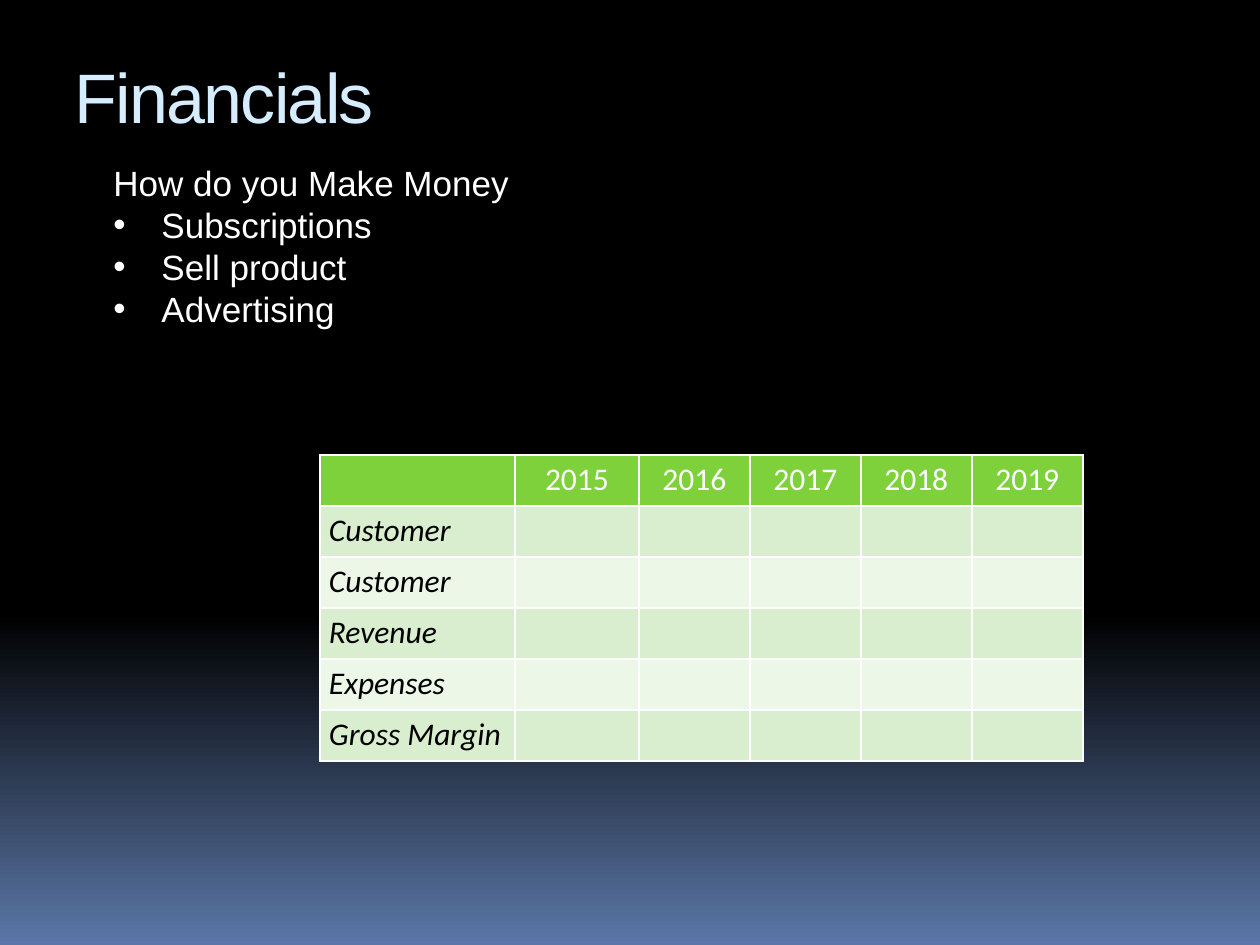
from pptx import Presentation
from pptx.dml.color import RGBColor
from pptx.enum.text import MSO_ANCHOR, MSO_AUTO_SIZE, PP_ALIGN
from pptx.oxml.ns import qn
from pptx.util import Pt
from lxml import etree

PX = 914400 / 126
LEFT, CENTER = PP_ALIGN.LEFT, PP_ALIGN.CENTER
MIDDLE = MSO_ANCHOR.MIDDLE
NO_AUTOFIT = MSO_AUTO_SIZE.NONE
TITLE_ONLY = 5
COLORS = {
    "black": "000000",
    "white": "FFFFFF",
    "dusk": "5B77A8",
    "title": "D6ECFF",
    "header": "7FD13B",
    "odd_row": "D8EECE",
    "even_row": "ECF7E8",
}
YEARS = ["2015", "2016", "2017", "2018", "2019"]
MEASURES = ["Customer", "Customer", "Revenue", "Expenses", "Gross Margin"]
INCOME_SOURCES = ["Subscriptions", "Sell product", "Advertising"]
COLUMN_WIDTHS = [195, 124, 111, 111, 111, 111]
ROW_HEIGHT = 51


def emu(pixels):
    return round(pixels * PX)


def rgb(name):
    return RGBColor.from_string(COLORS[name])


def write(paragraph, text, size=20, font="Arial", color="white",
          italic=False, align=LEFT, spacing=None):
    paragraph.alignment = align
    run = paragraph.add_run()
    run.text = text
    run.font.size = Pt(size)
    run.font.name = font
    run.font.italic = italic
    run.font.color.rgb = rgb(color)
    if spacing is not None:
        run.font._element.set("spc", str(spacing * 100))


def add_bullet(paragraph, indent):
    properties = paragraph._p.get_or_add_pPr()
    properties.set("marL", str(emu(indent)))
    properties.set("indent", str(-emu(indent)))
    etree.SubElement(properties, qn("a:buFont")).set("typeface", "Arial")
    etree.SubElement(properties, qn("a:buChar")).set("char", "•")


def set_background(slide):
    fill = slide.background.fill
    fill.gradient()
    fill.gradient_angle = 270
    for stop, position, color in zip(fill.gradient_stops, (0.65, 1), ("black", "dusk")):
        stop.position = position
        stop.color.rgb = rgb(color)


def set_title(slide, text):
    title = slide.shapes.title
    title.left, title.top = emu(62), emu(44)
    title.width, title.height = emu(716), emu(103)
    frame = title.text_frame
    frame.auto_size = NO_AUTOFIT
    frame.vertical_anchor = MIDDLE
    write(frame.paragraphs[0], text, size=40, color="title", spacing=-1)


def add_income_list(slide):
    box = slide.shapes.add_textbox(emu(101), emu(155), emu(488), emu(224))
    frame = box.text_frame
    frame.word_wrap = True
    write(frame.paragraphs[0], "How do you Make Money")
    for source in INCOME_SOURCES:
        paragraph = frame.add_paragraph()
        write(paragraph, source)
        add_bullet(paragraph, 48)


def set_borders(cell, color):
    properties = cell._tc.get_or_add_tcPr()
    for side in ("lnL", "lnR", "lnT", "lnB"):
        line = etree.SubElement(properties, qn(f"a:{side}"), w=str(Pt(1)))
        fill = etree.SubElement(line, qn("a:solidFill"))
        etree.SubElement(fill, qn("a:srgbClr"), val=COLORS[color])


def format_cell(cell, fill):
    cell.margin_left = cell.margin_right = emu(9)
    cell.margin_top = cell.margin_bottom = emu(6)
    set_borders(cell, "white")
    cell.fill.solid()
    cell.fill.fore_color.rgb = rgb(fill)


def add_forecast_table(slide):
    row_count = len(MEASURES) + 1
    frame = slide.shapes.add_table(
        row_count, len(COLUMN_WIDTHS), emu(320), emu(455),
        emu(sum(COLUMN_WIDTHS)), emu(ROW_HEIGHT * row_count))
    table = frame.table
    for column, width in zip(table.columns, COLUMN_WIDTHS):
        column.width = emu(width)
    for index, row in enumerate(table.rows):
        row.height = emu(ROW_HEIGHT)
        fill = "header" if index == 0 else "odd_row" if index % 2 else "even_row"
        for cell in row.cells:
            format_cell(cell, fill)
    for column, year in enumerate(YEARS, 1):
        write(table.cell(0, column).text_frame.paragraphs[0], year,
              size=18, font="Calibri", align=CENTER)
    for row, measure in enumerate(MEASURES, 1):
        write(table.cell(row, 0).text_frame.paragraphs[0], measure,
              size=18, font="Calibri", color="black", italic=True)


def main():
    presentation = Presentation()
    presentation.slide_width, presentation.slide_height = emu(1260), emu(945)
    slide = presentation.slides.add_slide(presentation.slide_layouts[TITLE_ONLY])
    set_background(slide)
    set_title(slide, "Financials")
    add_income_list(slide)
    add_forecast_table(slide)
    presentation.save("out.pptx")


if __name__ == "__main__":
    main()
